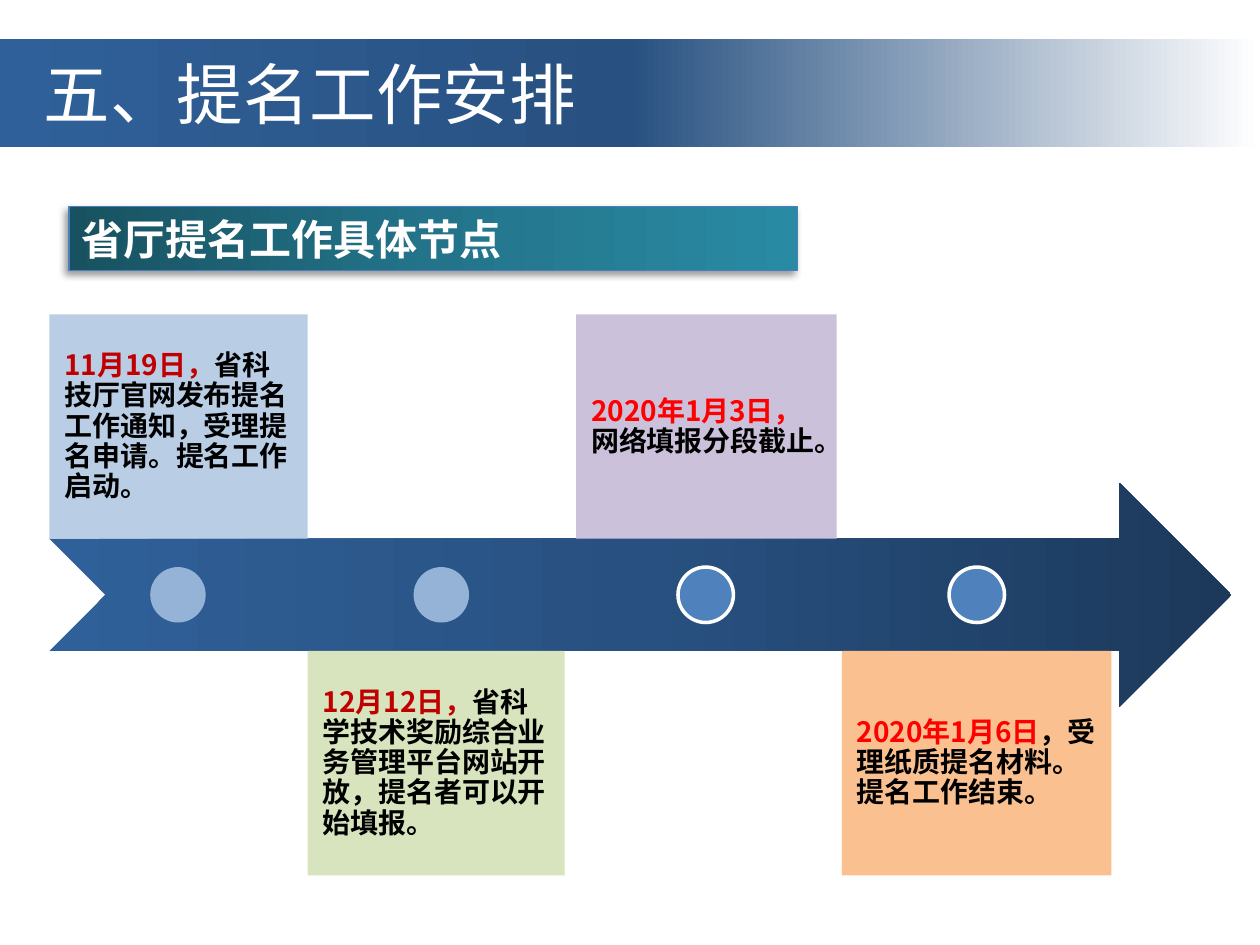
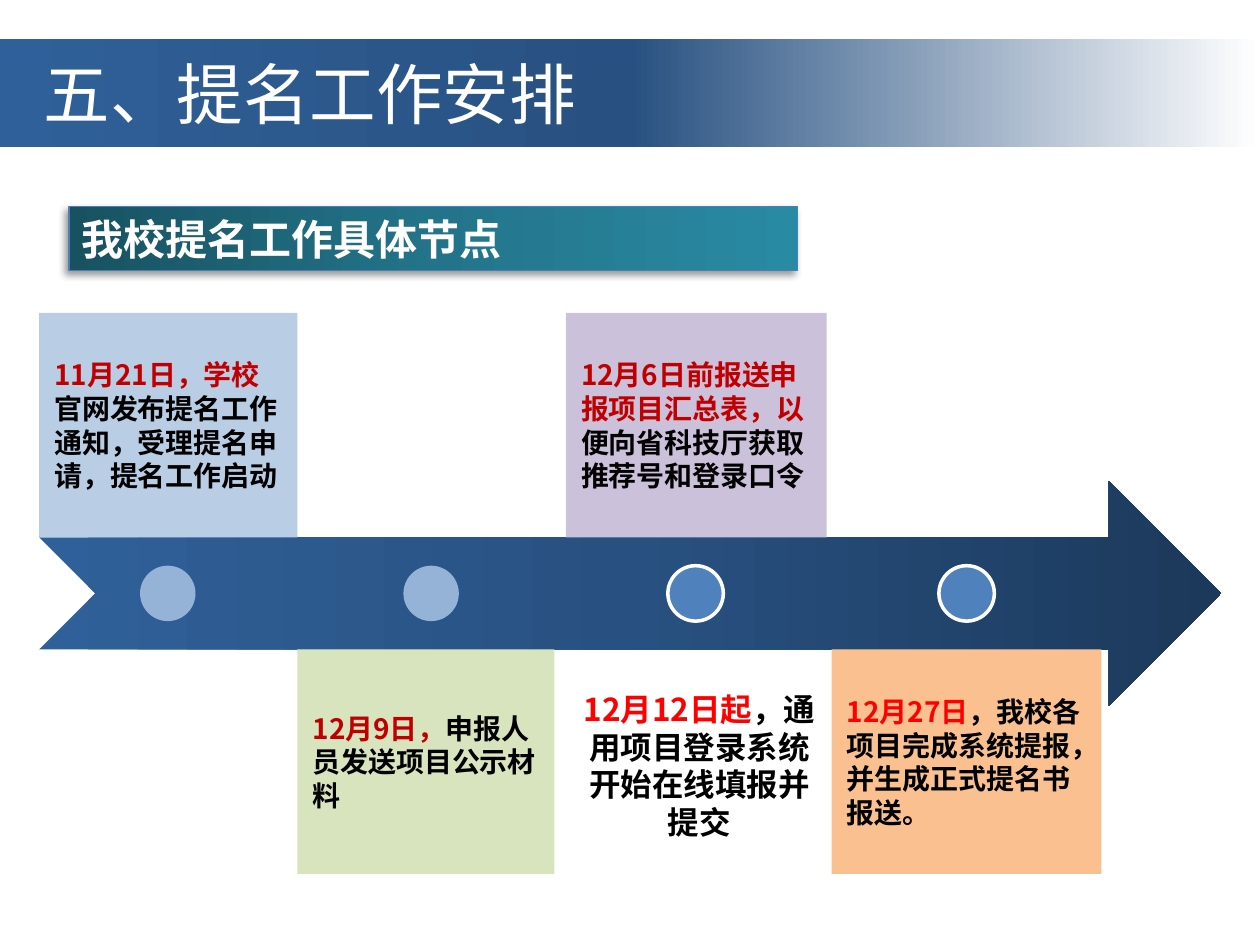
from copy import deepcopy
from dataclasses import dataclass

from lxml import etree
from pptx import Presentation
from pptx.dml.color import RGBColor
from pptx.enum import shapes, text
from pptx.oxml import ns
from pptx.util import Pt


@dataclass(frozen=True)
class Theme:
    """Colours, font and type sizes shared by the slides."""
    font: str = "Noto Sans CJK SC"
    title_size: int = 38
    heading_size: int = 24
    note_size: int = 18
    body_size: int = 16
    leading: float = 1.2
    white: str = "FFFFFF"
    black: str = "000000"
    dark_red: str = "C00000"
    red: str = "FF0000"
    band: tuple = ("306099", "285181", "FFFFFF")
    heading: tuple = ("185261", "23748A", "298AA3")
    heading_line: str = "4B7EBC"
    arrow: tuple = ("306099", "285181", "1C395B")
    cards: tuple = ("B9CDE5", "D7E4BD", "CCC1DA", "FAC090")
    dots: tuple = ("95B3D7", "95B3D7", "4F81BD", "4F81BD")


theme = Theme()


def add_block(slide, kind, box, fill=None, line=None, line_width=1):
    """Add a preset shape with a plain fill, a left-to-right gradient or none."""
    shape = slide.shapes.add_shape(kind, *[Pt(value) for value in box])
    shape.shadow.inherit = False
    if fill is None:
        shape.fill.background()
    elif isinstance(fill, str):
        shape.fill.solid()
        shape.fill.fore_color.rgb = RGBColor.from_string(fill)
    else:
        shape.fill.gradient()
        shape.fill.gradient_angle = 0
        stop_list = shape._element.spPr.find(".//" + ns.qn("a:gsLst"))
        stop_list.append(deepcopy(stop_list[-1]))
        for index, stop in enumerate(shape.fill.gradient_stops):
            stop.position = index / 2
            stop.color.rgb = RGBColor.from_string(fill[index])
    if line:
        shape.line.color.rgb = RGBColor.from_string(line)
        shape.line.width = Pt(line_width)
    else:
        shape.line.fill.background()
    return shape


def write(shape, runs, size, bold=True, align=text.PP_ALIGN.LEFT,
          spacing=1.0, insets=(7.2, 3.6, 7.2, 3.6)):
    """Write one middle-anchored paragraph of (words, colour) runs."""
    frame = shape.text_frame
    frame.word_wrap = True
    frame.vertical_anchor = text.MSO_ANCHOR.MIDDLE
    (frame.margin_left, frame.margin_top,
     frame.margin_right, frame.margin_bottom) = [Pt(value) for value in insets]
    paragraph = frame.paragraphs[0]
    paragraph.alignment = align
    paragraph.line_spacing = Pt(round(size * theme.leading * spacing, 1))
    for words, colour in runs:
        run = paragraph.add_run()
        run.text = words
        run.font.name = theme.font
        run.font.size = Pt(size)
        run.font.bold = bold
        run.font.color.rgb = RGBColor.from_string(colour)
        east_asian = etree.SubElement(run._r.get_or_add_rPr(), ns.qn("a:ea"))
        east_asian.set("typeface", theme.font)


# Timeline geometry, measured from the left end and top of the arrow
ARROW_WIDTH, ARROW_HEIGHT = 675.4, 128.2
DOT_SIZE = 31.7
CARD_LEFTS = (0, 147.6, 301, 452.9)
CARD_WIDTHS = (147.6, 146.9, 149, 154.1)
DOT_CENTRES = (73.5, 224, 375.1, 530)
CARD_INSETS = (8.64,) * 4

schedules = [
    {
        "heading": "省厅提名工作具体节点",
        "origin": (28.2, 275.8),
        "spacing": 0.9,
        "steps": [
            ("11月19日，", theme.dark_red,
             "省科技厅官网发布提名工作通知，受理提名申请。提名工作启动。"),
            ("12月12日，", theme.dark_red,
             "省科学技术奖励综合业务管理平台网站开放，提名者可以开始填报。"),
            ("2020年1月3日，", theme.red, "网络填报分段截止。"),
            ("2020年1月6日", theme.red, "，受理纸质提名材料。提名工作结束。"),
        ],
    },
    {
        "heading": "我校提名工作具体节点",
        "origin": (22.4, 275),
        "spacing": 1.0,
        "steps": [
            ("11月21日，学校", theme.dark_red,
             "官网发布提名工作通知，受理提名申请，提名工作启动"),
            ("12月9日，", theme.dark_red, "申报人员发送项目公示材料"),
            ("12月6日前报送申报项目汇总表，以", theme.dark_red,
             "便向省科技厅获取推荐号和登录口令"),
            ("12月27日", theme.red, "，我校各项目完成系统提报，并生成正式提名书报送。"),
        ],
        "note": ("12月12日起", theme.red, "，通用项目登录系统开始在线填报并提交"),
    },
]

presentation = Presentation()
presentation.slide_width, presentation.slide_height = Pt(720), Pt(540)
rectangle = shapes.MSO_SHAPE.RECTANGLE

for schedule in schedules:
    slide = presentation.slides.add_slide(presentation.slide_layouts[6])

    band = add_block(slide, rectangle, (0, 22.3, 720, 62), theme.band)
    write(band, [("五、提名工作安排", theme.white)], theme.title_size,
          bold=False, insets=(25, 3.6, 7.2, 3.6))

    heading = add_block(slide, rectangle, (39.4, 118.1, 416.2, 36.4),
                        theme.heading, theme.heading_line, 0.75)
    write(heading, [(schedule["heading"], theme.white)], theme.heading_size)
    effects = heading._element.spPr.find(ns.qn("a:effectLst"))
    shadow = etree.SubElement(effects, ns.qn("a:outerShdw"), blurRad=str(Pt(4)),
                              dist=str(Pt(3)), dir="8100000", algn="tr",
                              rotWithShape="0")
    shadow_colour = etree.SubElement(shadow, ns.qn("a:srgbClr"), val=theme.black)
    etree.SubElement(shadow_colour, ns.qn("a:alpha"), val="40000")

    left, top = schedule["origin"]
    add_block(slide, shapes.MSO_SHAPE.NOTCHED_RIGHT_ARROW,
              (left, top, ARROW_WIDTH, ARROW_HEIGHT), theme.arrow)

    # Cards alternate above and below the arrow's shaft
    for index, (date, date_colour, detail) in enumerate(schedule["steps"]):
        card_top = top + ARROW_HEIGHT * (0.75 if index % 2 else -0.75)
        card = add_block(slide, rectangle,
                         (left + CARD_LEFTS[index], card_top,
                          CARD_WIDTHS[index], ARROW_HEIGHT), theme.cards[index])
        write(card, [(date, date_colour), (detail, theme.black)],
              theme.body_size, spacing=schedule["spacing"], insets=CARD_INSETS)
        add_block(slide, shapes.MSO_SHAPE.OVAL,
                  (left + DOT_CENTRES[index] - DOT_SIZE / 2,
                   top + (ARROW_HEIGHT - DOT_SIZE) / 2, DOT_SIZE, DOT_SIZE),
                  theme.dots[index], theme.white if index >= 2 else None, 2)

    if "note" in schedule:
        date, date_colour, detail = schedule["note"]
        note = slide.shapes.add_textbox(Pt(326.2), Pt(390.2), Pt(146.9), Pt(94.3))
        write(note, [(date, date_colour), (detail, theme.black)],
              theme.note_size, align=text.PP_ALIGN.CENTER)

presentation.save("out.pptx")
